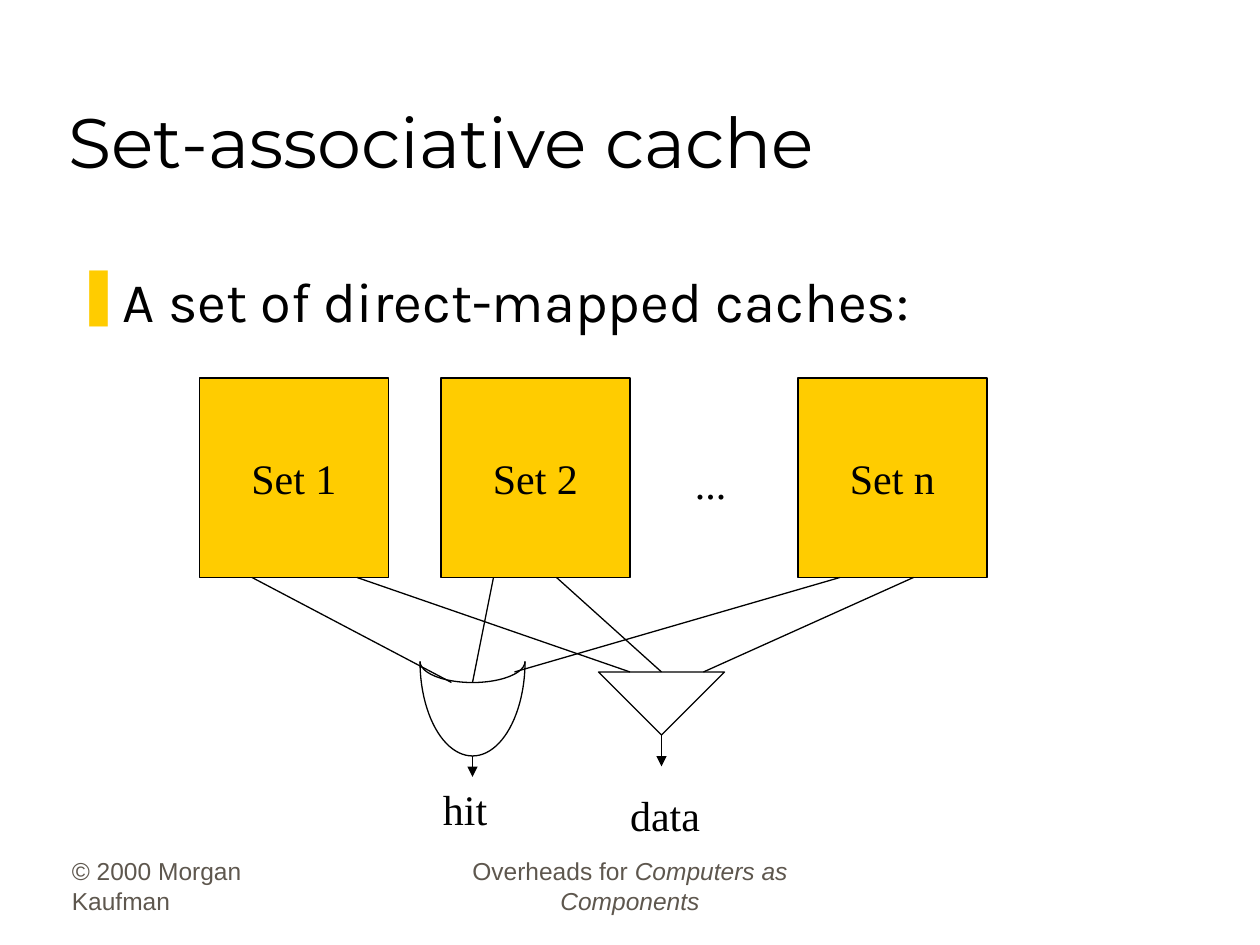
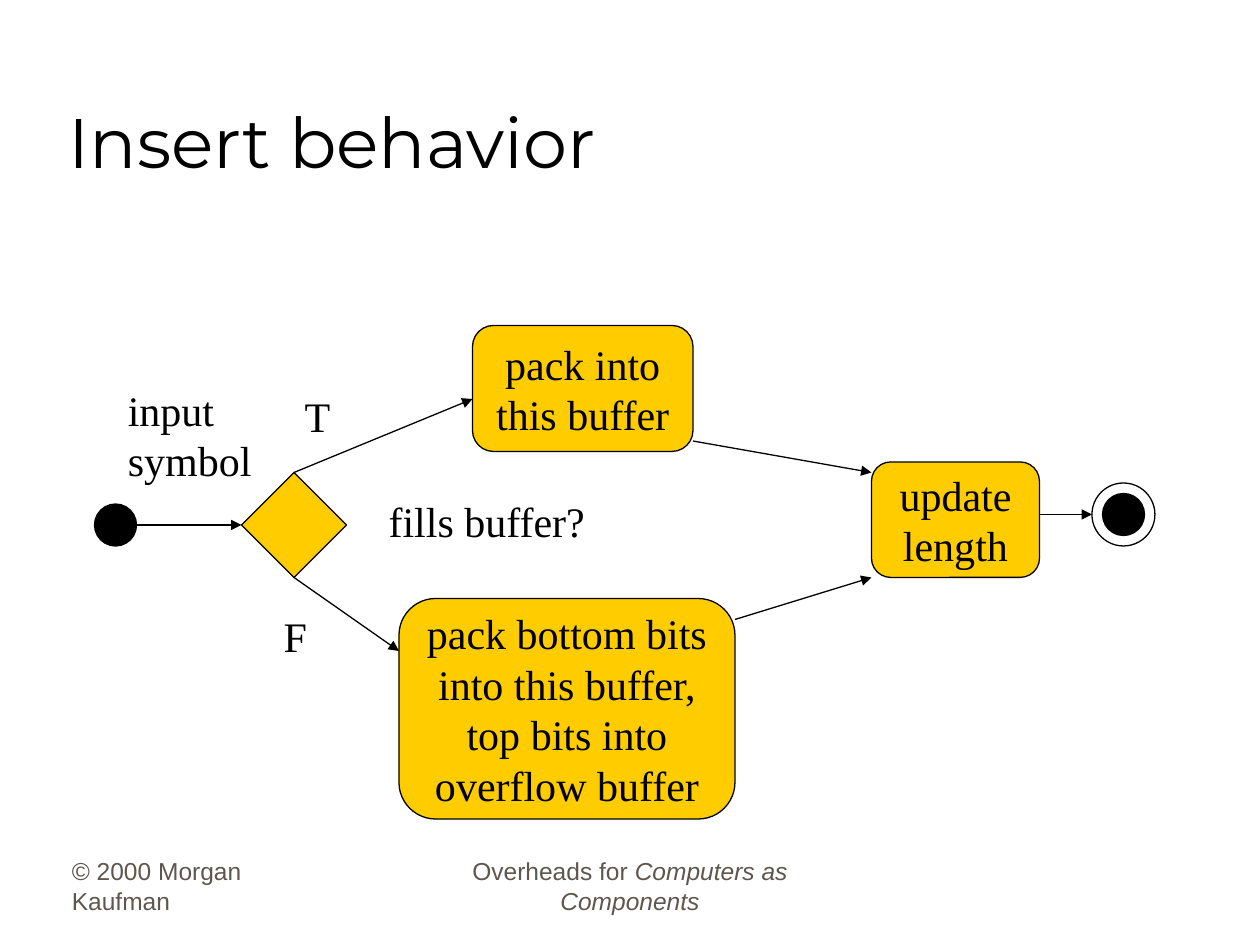
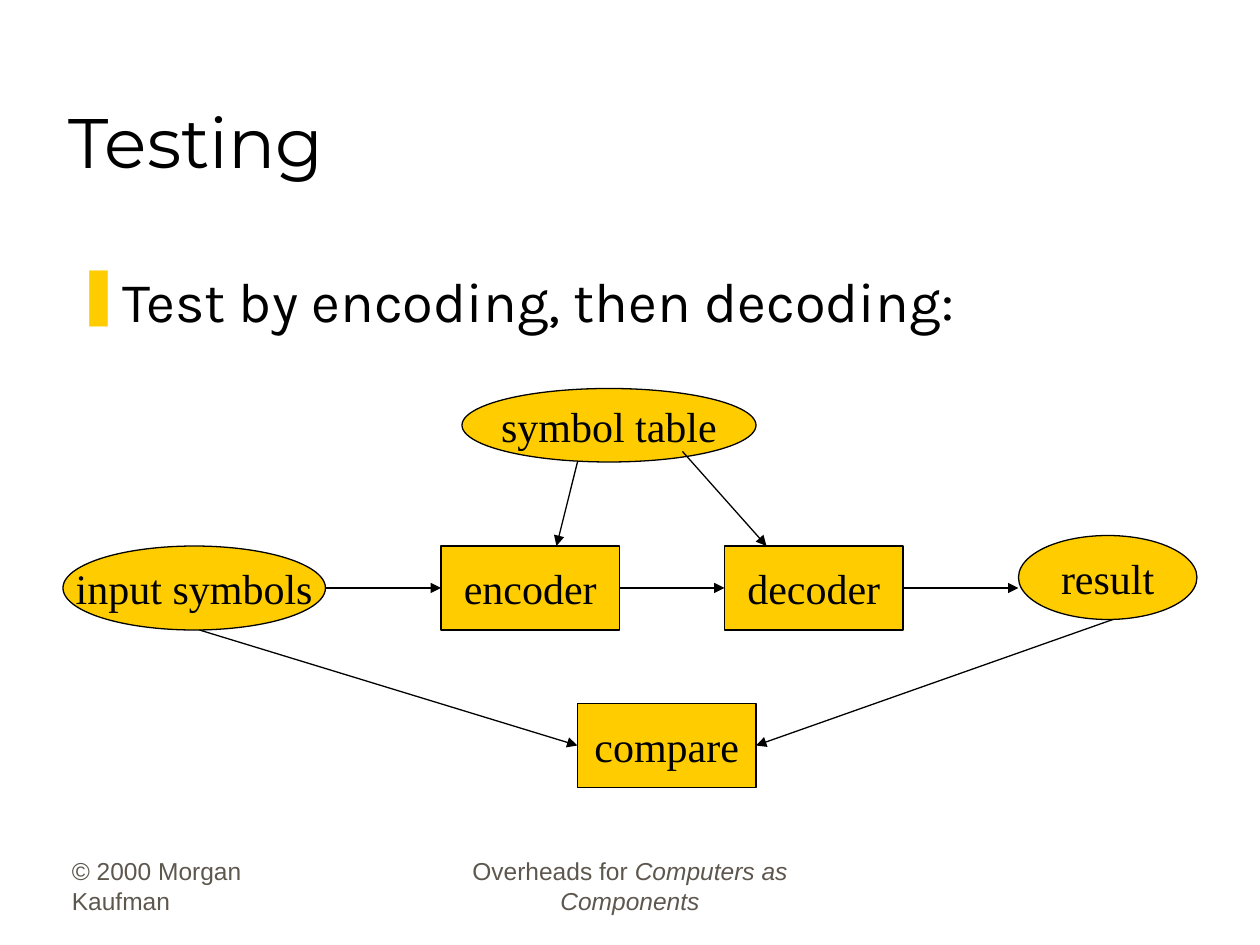
from dataclasses import dataclass, field
from typing import Optional

from lxml.etree import SubElement
from pptx import Presentation
from pptx.dml.color import RGBColor
from pptx.enum.shapes import MSO_CONNECTOR as Wire, MSO_SHAPE as Kind
from pptx.enum.text import MSO_ANCHOR as Anchor, MSO_AUTO_SIZE as Fit, PP_ALIGN as Align
from pptx.oxml.ns import qn
from pptx.util import Pt

GOLD = RGBColor(0xFF, 0xCC, 0x00)
BLACK = RGBColor(0x00, 0x00, 0x00)
WHITE = RGBColor(0xFF, 0xFF, 0xFF)
GREY = RGBColor(0x5E, 0x57, 0x4E)
THIN = Pt(0.75)
INDENT = Pt(27)


@dataclass(frozen=True)
class Node:
    kind: Kind
    x: float
    y: float
    w: float
    h: float
    text: str = ""
    fill: Optional[RGBColor] = GOLD
    turn: float = 0


@dataclass(frozen=True)
class Label:
    text: str
    x: float
    y: float
    w: float
    h: float = 36


@dataclass(frozen=True)
class Link:
    x1: float
    y1: float
    x2: float
    y2: float
    head: bool = True


@dataclass(frozen=True)
class Page:
    title: str
    nodes: list[Node]
    links: list[Link]
    labels: list[Label] = field(default_factory=list)
    point: str = ""


def style(para, name: str, size: float, color: RGBColor, align=Align.LEFT) -> None:
    para.alignment = align
    para.font.name = name
    para.font.size = Pt(size)
    para.font.color.rgb = color


def add_box(slide, x: float, y: float, w: float, h: float, wrap: bool = True):
    """Add a text box and return its text frame."""
    frame = slide.shapes.add_textbox(Pt(x), Pt(y), Pt(w), Pt(h)).text_frame
    frame.word_wrap = wrap
    return frame


def fill_text(frame, text: str, align) -> None:
    frame.text = text
    for para in frame.paragraphs:
        style(para, "Times New Roman", 24, BLACK, align)


def add_node(slide, node: Node):
    shape = slide.shapes.add_shape(
        node.kind, Pt(node.x), Pt(node.y), Pt(node.w), Pt(node.h))
    shape.shadow.inherit = False
    shape.rotation = node.turn
    if node.fill is None:
        shape.fill.background()
    else:
        shape.fill.solid()
        shape.fill.fore_color.rgb = node.fill
    shape.line.color.rgb = BLACK
    shape.line.width = THIN
    if node.text:
        frame = shape.text_frame
        frame.word_wrap = False
        frame.vertical_anchor = Anchor.MIDDLE
        fill_text(frame, node.text, Align.CENTER)
    return shape


def add_label(slide, label: Label) -> None:
    frame = add_box(slide, label.x, label.y, label.w, label.h, wrap=False)
    frame.auto_size = Fit.SHAPE_TO_FIT_TEXT
    fill_text(frame, label.text, Align.LEFT)


def add_link(slide, link: Link) -> None:
    wire = slide.shapes.add_connector(
        Wire.STRAIGHT, Pt(link.x1), Pt(link.y1), Pt(link.x2), Pt(link.y2))
    wire.line.color.rgb = BLACK
    wire.line.width = THIN
    if link.head:
        SubElement(wire.line._get_or_add_ln(), qn("a:tailEnd"), type="triangle")
    SubElement(wire._element.spPr, qn("a:effectLst"))


def add_title(slide, text: str) -> None:
    title = slide.shapes.title
    title.left, title.top, title.width, title.height = Pt(32), Pt(18), Pt(612), Pt(90)
    frame = title.text_frame
    frame.text = text
    frame.auto_size = Fit.NONE
    frame.vertical_anchor = Anchor.BOTTOM
    style(frame.paragraphs[0], "Montserrat", 40, BLACK)


def add_point(slide, text: str) -> None:
    """Add the bulleted line under the title."""
    para = add_box(slide, 36, 148.5, 643.5, 50).paragraphs[0]
    para.text = text
    props = para._p.get_or_add_pPr()
    props.set("marL", str(INDENT))
    props.set("indent", str(-INDENT))
    SubElement(SubElement(props, qn("a:buClr")), qn("a:srgbClr"), val=str(GOLD))
    SubElement(props, qn("a:buChar"), char="❚")
    style(para, "Karla", 32, BLACK)


def add_foot(slide, x: float, w: float, align, text: str, book: str = "") -> None:
    """Add one footer, with a book title in italics after the text."""
    frame = add_box(slide, x, 490.5, w, 36)
    frame.vertical_anchor = Anchor.BOTTOM
    para = frame.paragraphs[0]
    para.text = text
    if book:
        run = para.add_run()
        run.text = book
        run.font.italic = True
    style(para, "Arial", 14, GREY, align)


def add_gate(slide) -> None:
    """Draw an OR gate from the lower halves of two ellipses."""
    for y, h in ((324, 108), (366, 24)):
        arc = add_node(slide, Node(Kind.ARC, 240, y, 60, h, fill=None))
        arc.adjustments[0] = 0
        arc.adjustments[1] = 108  # 180 degrees


def add_page(deck, page: Page):
    slide = deck.slides.add_slide(deck.slide_layouts.get_by_name("Title Only"))
    add_foot(slide, 34, 150, Align.LEFT, "© 2000 Morgan Kaufman")
    add_foot(slide, 246, 228, Align.CENTER, "Overheads for ", "Computers as Components")
    add_title(slide, page.title)
    if page.point:
        add_point(slide, page.point)
    for node in page.nodes:
        add_node(slide, node)
    for link in page.links:
        add_link(slide, link)
    for label in page.labels:
        add_label(slide, label)
    return slide


CACHE = Page(
    "Set-associative cache",
    point="A set of direct-mapped caches:",
    nodes=[
        *(Node(Kind.RECTANGLE, x, 216, 108, 114, f"Set {name}")
          for x, name in ((114, "1"), (252, "2"), (456, "n"))),
        Node(Kind.ISOSCELES_TRIANGLE, 342, 384, 72, 36, fill=WHITE, turn=180),
    ],
    links=[
        *(Link(x1, 330, x2, y2, head=False) for x1, x2, y2 in (
            (144, 258, 390), (282, 270, 390), (480, 294, 384),
            (204, 360, 384), (318, 378, 384), (522, 402, 384))),
        Link(270, 432, 270, 444),
        Link(378, 420, 378, 438),
    ],
    labels=[
        Label("...", 390, 258, 33),
        Label("hit", 246, 444, 40),
        Label("data", 353, 447.5, 56),
    ],
)

INSERT = Page(
    "Insert behavior",
    nodes=[
        Node(Kind.ROUNDED_RECTANGLE, 270, 186, 126, 72, "pack into\nthis buffer"),
        Node(Kind.OVAL, 54, 288, 24, 24, fill=BLACK),
        Node(Kind.OVAL, 630, 282, 24, 24, fill=BLACK),
        Node(Kind.OVAL, 624, 276, 36, 36, fill=None),
        Node(Kind.DIAMOND, 138, 270, 60, 60),
        Node(Kind.ROUNDED_RECTANGLE, 228, 342, 192, 126,
             "pack bottom bits\ninto this buffer,\ntop bits into\noverflow buffer"),
        Node(Kind.ROUNDED_RECTANGLE, 498, 264, 96, 66, "update\nlength"),
    ],
    links=[
        Link(78, 300, 138, 300),
        Link(168, 270, 270, 228),
        Link(168, 330, 228, 372),
        Link(420, 354, 498, 330),
        Link(396, 252, 498, 270),
        Link(594, 294, 624, 294),
    ],
    labels=[
        Label("input\nsymbol", 66, 216, 86, 65),
        Label("fills buffer?", 215, 279.5, 128),
        Label("T", 167, 219.5, 30),
        Label("F", 155, 345.5, 28),
    ],
)

TEST = Page(
    "Testing",
    point="Test by encoding, then decoding:",
    nodes=[
        Node(Kind.OVAL, 36, 312, 150, 48, "input symbols"),
        Node(Kind.OVAL, 264, 222, 168, 42, "symbol table"),
        *(Node(Kind.RECTANGLE, x, y, 102, 48, text) for x, y, text in (
            (252, 312, "encoder"), (414, 312, "decoder"), (330, 402, "compare"))),
        Node(Kind.OVAL, 582, 306, 102, 48, "result"),
    ],
    links=[
        *(Link(x1, 336, x2, 336) for x1, x2 in ((186, 252), (354, 414), (516, 582))),
        Link(330, 264, 318, 312),
        Link(390, 258, 438, 312),
        Link(114, 360, 330, 426),
        Link(636, 354, 432, 426),
    ],
)


def main() -> None:
    deck = Presentation()
    deck.slide_width, deck.slide_height = Pt(720), Pt(540)
    add_gate(add_page(deck, CACHE))
    add_page(deck, INSERT)
    add_page(deck, TEST)
    deck.save("out.pptx")


if __name__ == "__main__":
    main()
